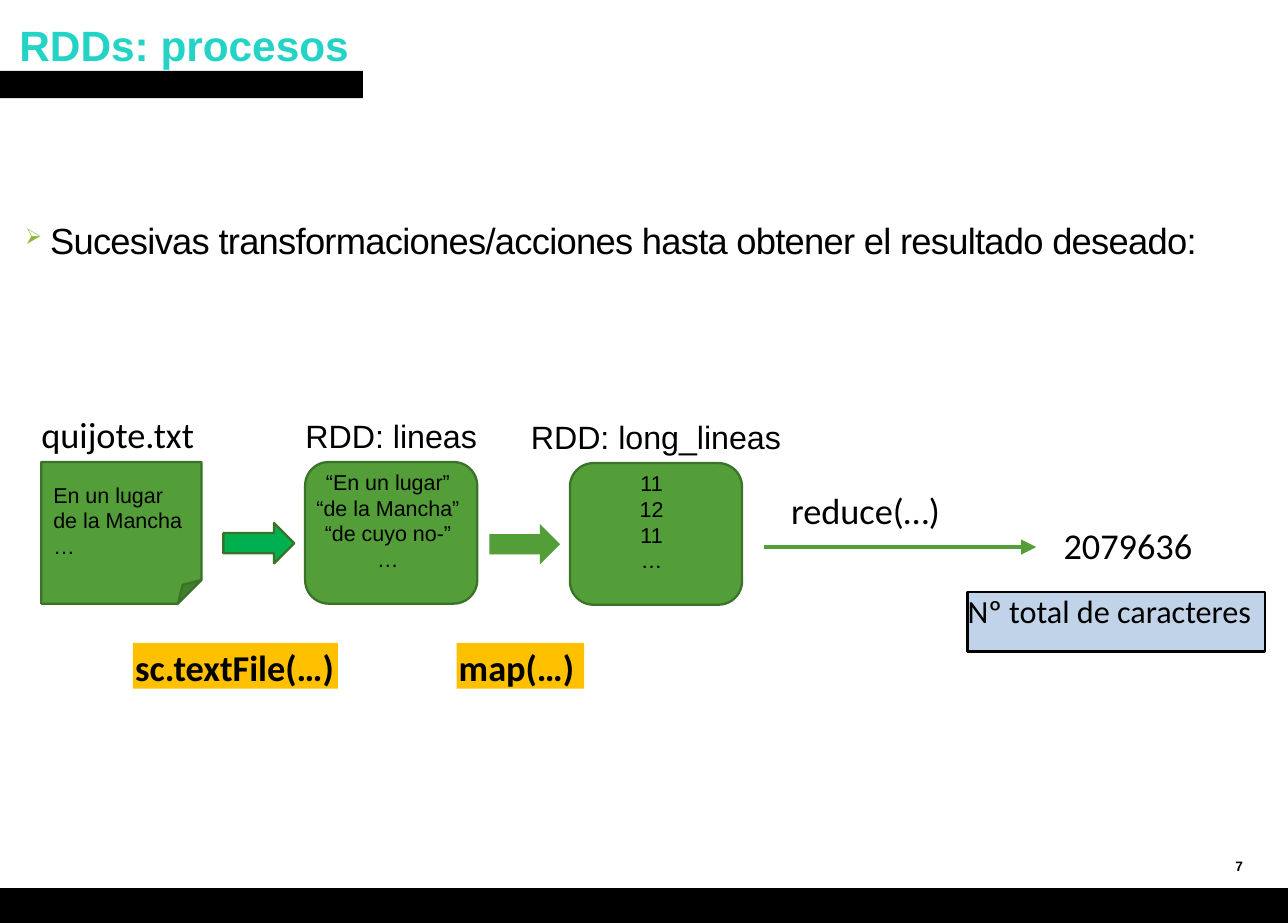
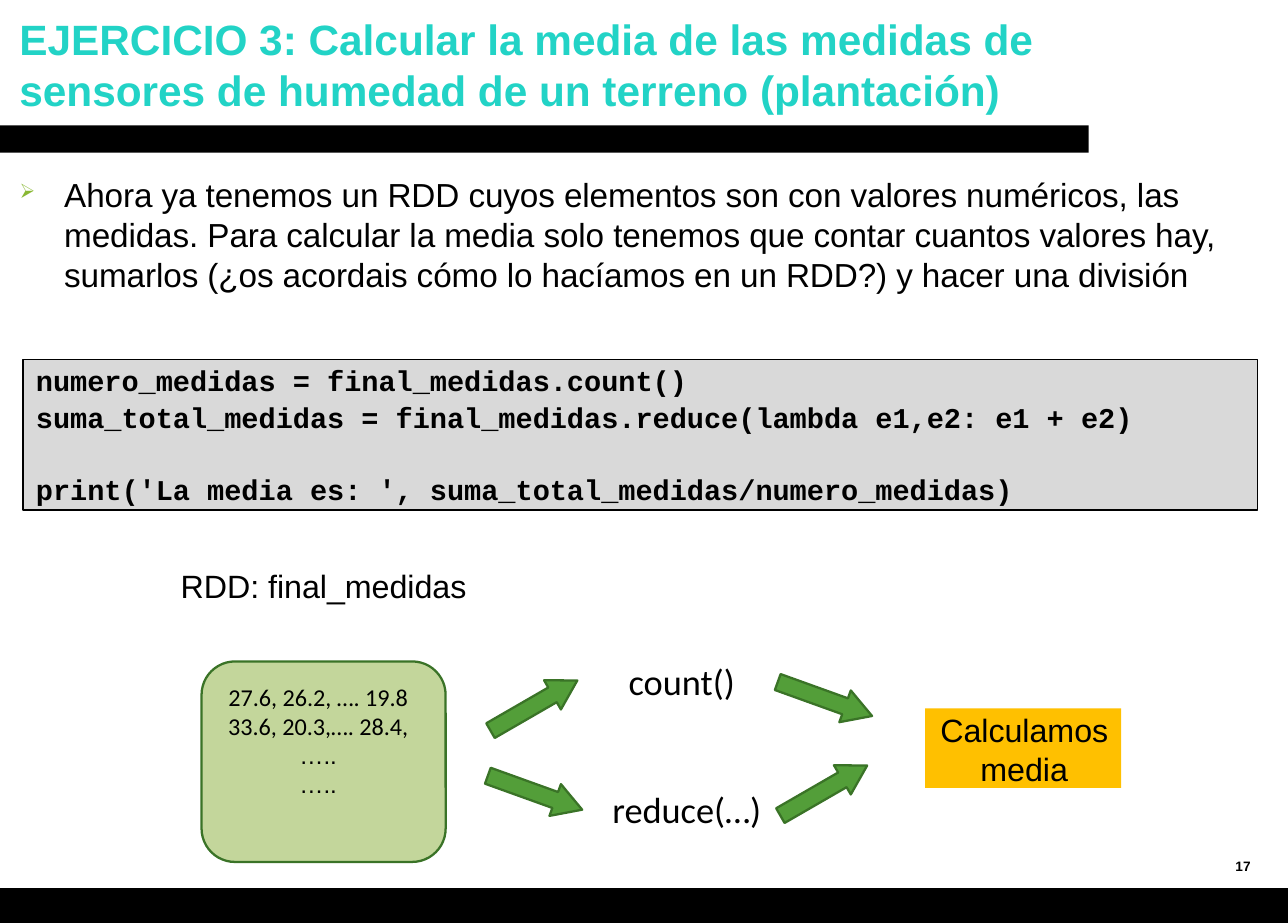
from lxml import etree
from pptx import Presentation
from pptx.dml.color import RGBColor
from pptx.enum.shapes import MSO_CONNECTOR, MSO_SHAPE
from pptx.enum.text import MSO_ANCHOR, PP_ALIGN
from pptx.oxml.ns import qn
from pptx.util import Inches, Pt

RECTANGLE = MSO_SHAPE.RECTANGLE
ROUNDED = MSO_SHAPE.ROUNDED_RECTANGLE
FOLDED = MSO_SHAPE.FOLDED_CORNER
RIGHT_ARROW = MSO_SHAPE.RIGHT_ARROW
STRAIGHT = MSO_CONNECTOR.STRAIGHT
TOP, MIDDLE = MSO_ANCHOR.TOP, MSO_ANCHOR.MIDDLE
LEFT, CENTER = PP_ALIGN.LEFT, PP_ALIGN.CENTER

SLIDE_WIDTH, SLIDE_HEIGHT = 11.82, 8.47
COLORS = {
    "title": "22D3C6",
    "black": "000000",
    "bullet": "89B833",
    "green": "539E39",
    "bright_green": "00B050",
    "pale_green": "C3D69B",
    "outline": "3A7327",
    "amber": "FFC000",
    "blue": "C1D3E8",
    "code": "D9D9D9",
}


def color(name):
    """Return the named colour of the palette."""
    return RGBColor.from_string(COLORS[name])


def write(shape, lines, size, font="Arial", ink="black", bold=False, align=LEFT,
          inset=(0, 0, 0, 0), anchor=TOP, tracking=0):
    """Fill a shape with one paragraph per line and format the runs."""
    frame = shape.text_frame
    frame.word_wrap = True
    frame.vertical_anchor = anchor
    (frame.margin_left, frame.margin_top,
     frame.margin_right, frame.margin_bottom) = map(Inches, inset)
    frame.text = "\n".join(lines)
    for paragraph in frame.paragraphs:
        paragraph.alignment = align
        for run in paragraph.runs:
            run.font.size = Pt(size)
            run.font.name = font
            run.font.bold = bold
            run.font.color.rgb = color(ink)
            if tracking:
                run._r.get_or_add_rPr().set("spc", str(round(tracking * 100)))
    return frame


def add_text(slide, box, lines, size, **style):
    """Add a text box at the given box in inches."""
    shape = slide.shapes.add_textbox(*map(Inches, box))
    return write(shape, lines, size, **style)


def add_block(slide, kind, box, fill, outline=None, width=1.5):
    """Add a flat preset shape at the given box in inches."""
    shape = slide.shapes.add_shape(kind, *map(Inches, box))
    shape.shadow.inherit = False
    shape.fill.solid()
    shape.fill.fore_color.rgb = color(fill)
    if outline:
        shape.line.color.rgb = color(outline)
        shape.line.width = Pt(width)
    else:
        shape.line.fill.background()
    return shape


def add_frame(presentation, title, title_box, bar_box, number):
    """Add a slide with its title, title bar, footer band and number."""
    slide = presentation.slides.add_slide(presentation.slide_layouts[6])
    add_block(slide, RECTANGLE, (0, 8.15, SLIDE_WIDTH, 0.32), "black")
    add_block(slide, RECTANGLE, bar_box, "black")
    add_text(slide, title_box, [title], 28, ink="title", bold=True,
             inset=(0.1, 0.05, 0.1, 0.05))
    add_text(slide, (11.24, 7.75, 0.46, 0.4), [number], 9, bold=True,
             inset=(0.1, 0.05, 0, 0.05), anchor=MIDDLE)
    return slide


def add_bullet(slide, box, text, size, hanging, tracking):
    """Add a paragraph with an arrowhead bullet and hanging indent."""
    frame = add_text(slide, box, [text], size, inset=(0, 0.02, 0, 0),
                     tracking=tracking)
    properties = frame.paragraphs[0]._p.get_or_add_pPr()
    properties.set("marL", str(Inches(hanging + 0.02)))
    properties.set("indent", str(-Inches(hanging)))
    bullet_color = etree.SubElement(properties, qn("a:buClr"))
    etree.SubElement(bullet_color, qn("a:srgbClr")).set("val", COLORS["bullet"])
    etree.SubElement(properties, qn("a:buSzPct")).set("val", "60000")
    etree.SubElement(properties, qn("a:buChar")).set("char", "➢")


def add_rdd(slide, box, label, label_gap, lines, size, fill="green", **style):
    """Add a rounded data set box with a label centred above it."""
    left, top, width, height = box
    label_width = 3.2
    label_left = left + (width - label_width) / 2
    add_text(slide, (label_left, top - label_gap, label_width, 0.36), [label],
             21.3, align=CENTER)
    shape = add_block(slide, ROUNDED, box, fill, "outline")
    return write(shape, lines, size, align=CENTER, **style)


def add_arrow(slide, box, rotation=0, fill="green", outline="outline", head=0.5):
    """Add a block arrow with the given angle and head length."""
    arrow = add_block(slide, RIGHT_ARROW, box, fill, outline)
    arrow.rotation = rotation
    arrow.adjustments[1] = head


def add_operation(slide, left, top, text, width=1.6):
    """Add the name of an operation, a file or a result."""
    add_text(slide, (left, top, width, 0.42), [text], 24, font="Calibri",
             inset=(0.02, 0.02, 0, 0))


def add_action(slide, box, text):
    """Add an amber label with a bold operation name."""
    write(add_block(slide, RECTANGLE, box, "amber"), [text], 24, font="Calibri",
          bold=True, inset=(0.02, 0.02, 0, 0))


def add_line_arrow(slide, left, right, y):
    """Add a horizontal connector that ends in an arrowhead."""
    connector = slide.shapes.add_connector(
        STRAIGHT, *map(Inches, (left, y, right, y)))
    connector.line.color.rgb = color("green")
    connector.line.width = Pt(2)
    line = connector.line._get_or_add_ln()
    head = etree.SubElement(line, qn("a:tailEnd"))
    for name, value in (("type", "triangle"), ("w", "lg"), ("len", "lg")):
        head.set(name, value)
    etree.SubElement(connector._element.spPr, qn("a:effectLst"))


def add_code(slide, box, lines):
    """Add a grey code panel whose last line stands apart."""
    panel = add_block(slide, RECTANGLE, box, "code", "black", 1)
    frame = write(panel, lines, 18.9, font="Courier New", bold=True,
                  inset=(0.12, 0.03, 0, 0), tracking=-0.06)
    for paragraph in frame.paragraphs[1:]:
        paragraph.space_before = Pt(1.9)
    frame.paragraphs[-1].space_before = Pt(25)


def build_process_slide(presentation):
    """Build the slide on the chain of RDD transformations."""
    slide = add_frame(presentation, "RDDs: procesos", (0.08, 0.13, 9.58, 0.67),
                      (0, 0.65, 3.33, 0.25), "7")
    add_bullet(slide, (0.21, 1.98, 11.28, 0.42),
               "Sucesivas transformaciones/acciones hasta obtener el resultado deseado:",
               24, 0.23, -0.48)
    add_operation(slide, 0.36, 3.76, "quijote.txt", 1.8)
    note = add_block(slide, FOLDED, (0.38, 4.24, 1.47, 1.3), "green", "outline")
    write(note, ["En un lugar", "de la Mancha", "…"], 14.2,
          inset=(0.11, 0.18, 0, 0))
    add_arrow(slide, (2.05, 4.8, 0.65, 0.37), fill="bright_green")
    add_rdd(slide, (2.8, 4.24, 1.58, 1.3), "RDD: lineas", 0.42,
            ["“En un lugar”", "“de la Mancha”", "“de cuyo no-”", "…"], 14.2,
            inset=(0, 0, 0.06, 0))
    add_arrow(slide, (4.49, 4.81, 0.65, 0.37), outline=None)
    add_rdd(slide, (5.23, 4.25, 1.58, 1.3), "RDD: long_lineas", 0.42,
            ["11", "12", "11", "…"], 14.2, inset=(0, 0, 0.08, 0))
    add_line_arrow(slide, 7.01, 9.51, 5.02)
    add_operation(slide, 7.24, 4.46, "reduce(…)")
    add_operation(slide, 9.74, 4.78, "2079636")
    total = add_block(slide, RECTANGLE, (8.88, 5.43, 2.73, 0.55), "blue", "black")
    write(total, ["Nº total de caracteres"], 21.3, font="Calibri")
    add_action(slide, (1.22, 5.9, 1.88, 0.42), "sc.textFile(…)")
    add_action(slide, (4.19, 5.9, 1.17, 0.42), "map(…)")


def build_exercise_slide(presentation):
    """Build the slide on the mean of the humidity readings."""
    slide = add_frame(
        presentation,
        "EJERCICIO 3: Calcular la media de las medidas de sensores de humedad "
        "de un terreno (plantación)",
        (0.08, 0.07, 10.67, 1.08), (0, 1.15, 9.99, 0.25), "17")
    add_bullet(slide, (0.16, 1.58, 11.53, 1.13),
               "Ahora ya tenemos un RDD cuyos elementos son con valores numéricos, "
               "las medidas. Para calcular la media solo tenemos que contar cuantos "
               "valores hay, sumarlos (¿os acordais cómo lo hacíamos en un RDD?) y "
               "hacer una división", 22, 0.41, -0.05)
    add_code(slide, (0.21, 3.3, 11.33, 1.38), [
        "numero_medidas = final_medidas.count()",
        "suma_total_medidas = final_medidas.reduce(lambda e1,e2: e1 + e2)",
        "print('La media es: ', suma_total_medidas/numero_medidas)",
    ])
    readings = add_rdd(slide, (1.85, 6.07, 2.24, 1.84), "RDD: final_medidas", 0.87,
                       ["27.6, 26.2, …. 19.8", "33.6, 20.3,…. 28.4,", "…..", "….."],
                       16, fill="pale_green", font="Calibri",
                       inset=(0, 0.1, 0.1, 0))
    for paragraph in readings.paragraphs[2:]:
        paragraph.runs[0].font.name = "Arial"
    for left, top, rotation in ((4.44, 6.32, 330), (4.45, 7.12, 19.8),
                                (7.11, 6.26, 19.8), (7.1, 7.1, 330)):
        add_arrow(slide, (left, top, 0.92, 0.31), rotation, head=0.85)
    add_operation(slide, 5.75, 6.03, "count()")
    add_operation(slide, 5.6, 7.2, "reduce(…)")
    result = add_block(slide, RECTANGLE, (8.49, 6.5, 1.8, 0.73), "amber")
    write(result, ["Calculamos media"], 21.3, align=CENTER,
          inset=(0.02, 0.02, 0, 0))


def main():
    """Build and save the presentation."""
    presentation = Presentation()
    presentation.slide_width = Inches(SLIDE_WIDTH)
    presentation.slide_height = Inches(SLIDE_HEIGHT)
    build_process_slide(presentation)
    build_exercise_slide(presentation)
    presentation.save("out.pptx")


if __name__ == "__main__":
    main()
